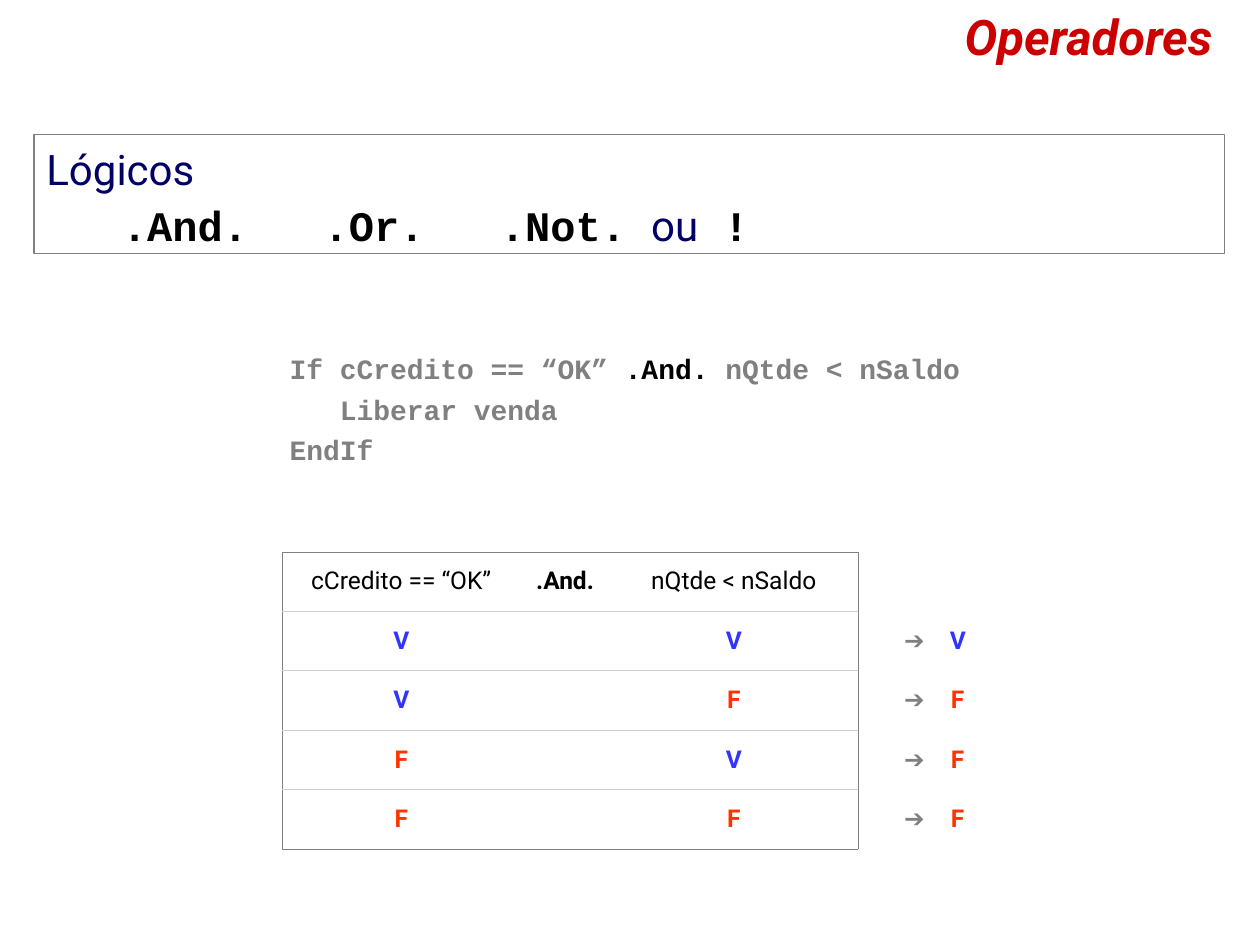
import pptx
import pptx.dml.color
import pptx.enum.shapes
import pptx.enum.text
import pptx.oxml
import pptx.oxml.ns
import pptx.util
from pptx.util import Inches

RGBColor = pptx.dml.color.RGBColor
Align = pptx.enum.text.PP_ALIGN
Anchor = pptx.enum.text.MSO_ANCHOR

WHITE = RGBColor(0xFF, 0xFF, 0xFF)
BLACK = RGBColor(0, 0, 0)
GRAY = RGBColor(0x80, 0x80, 0x80)
LIGHT_GRAY = RGBColor(0xD0, 0xCE, 0xCE)
NAVY = RGBColor(0, 0, 0x66)
RED = RGBColor(0xCC, 0, 0)
TRUTH_COLORS = {"V": RGBColor(0x33, 0x33, 0xFF), "F": RGBColor(0xFF, 0x33, 0)}

SANS = "Roboto"
MONO = "Courier New"
PLAIN_TABLE_STYLE = "{2D5ABB26-0587-4C30-8999-92F81FD0307C}"


def set_font(font, name, size, color, bold=False):
    font.name = name
    font.size = pptx.util.Pt(size)
    font.color.rgb = color
    font.bold = bold


def add_span(para, text):
    span = para.add_run()
    span.text = text
    return span


def add_tab_stops(para, positions):
    """Set left tab stops, in inches from the text edge."""
    properties = para._p.get_or_add_pPr()
    stops = pptx.oxml.ns.qn("a:tabLst")
    tab_list = properties.makeelement(stops, {})
    properties.append(tab_list)
    for position in positions:
        tab_list.append(tab_list.makeelement(
            pptx.oxml.ns.qn("a:tab"),
            {"pos": str(Inches(position)), "algn": "l"}))


def add_title(page, left, top, width, height):
    box = page.shapes.add_textbox(left, top, width, height)
    box.text_frame.word_wrap = True
    para = box.text_frame.paragraphs[0]
    para.text = "Operadores"
    para.alignment = Align.RIGHT
    set_font(para.font, SANS, 28, RED, bold=True)
    para.font.italic = True


def add_operator_panel(page, left, top, width, height):
    panel = page.shapes.add_shape(
        pptx.enum.shapes.MSO_SHAPE.RECTANGLE, left, top, width, height)
    panel.shadow.inherit = False
    panel.fill.solid()
    panel.fill.fore_color.rgb = WHITE
    panel.line.color.rgb = GRAY
    panel.line.width = pptx.util.Pt(0.75)
    panel.text_frame.word_wrap = True
    panel.text_frame.vertical_anchor = Anchor.MIDDLE

    para = panel.text_frame.paragraphs[0]
    para.alignment = Align.LEFT
    para.line_spacing = 1.1
    add_tab_stops(para, (0.6, 2.2, 3.6))
    set_font(add_span(para, "Lógicos").font, SANS, 24, NAVY)
    para.add_line_break()
    for text, is_code in (("\t.And.\t.Or.\t.Not. ", True), ("ou", False), (" !", True)):
        set_font(add_span(para, text).font, MONO if is_code else SANS, 24,
                 BLACK if is_code else NAVY, bold=is_code)


def add_code_sample(page, left, top, width, height):
    box = page.shapes.add_textbox(left, top, width, height)
    frame = box.text_frame
    frame.word_wrap = True
    lines = (
        ("If cCredito == “OK” ", ".And.", " nQtde < nSaldo"),
        ("   Liberar venda",),
        ("EndIf",),
    )
    for index, line in enumerate(lines):
        para = frame.add_paragraph() if index else frame.paragraphs[0]
        if index:
            para.space_before = pptx.util.Pt(4)
        set_font(para.font, MONO, 16, GRAY, bold=True)
        for text in line:
            span = add_span(para, text)
            if text == ".And.":
                span.font.color.rgb = BLACK


def set_borders(cell, **colors):
    """Draw the given sides (L, R, T, B) of a cell as thin lines."""
    properties = cell._tc.get_or_add_tcPr()
    sides = [side for side in "LRTB" if side in colors]
    for index, side in enumerate(sides):
        properties.insert(index, pptx.oxml.parse_xml(
            f'<a:ln{side} {pptx.oxml.ns.nsdecls("a")} w="{pptx.util.Pt(0.45)}">'
            f'<a:solidFill><a:srgbClr val="{colors[side]}"/></a:solidFill>'
            f'</a:ln{side}>'))


def fill_cell(cell, text, header):
    cell.fill.background()
    cell.vertical_anchor = Anchor.MIDDLE
    para = cell.text_frame.paragraphs[0]
    para.text = text
    para.alignment = Align.RIGHT if text == "➔" else Align.CENTER
    if text == "➔":
        set_font(para.font, "Arial", 14, GRAY)
    elif header:
        set_font(para.font, SANS, 14, BLACK, bold=text == ".And.")
    else:
        set_font(para.font, SANS, 14, TRUTH_COLORS.get(text, BLACK), bold=True)


def add_truth_table(page, left, top, width, height):
    """The first three columns are framed; the result columns are open."""
    rows = [("cCredito == “OK”", ".And.", "nQtde < nSaldo", "", "")]
    for first, second in ("VV", "VF", "FV", "FF"):
        result = "V" if first == second == "V" else "F"
        rows.append((first, "", second, "➔", result))
    column_widths = (1.89, 0.71, 1.97, 0.63, 0.32)
    framed_columns = 3

    holder = page.shapes.add_table(
        len(rows), len(column_widths), left, top, width, height)
    table = holder.table
    table.first_row = False
    table.horz_banding = False
    style = table._tbl.tblPr.find(pptx.oxml.ns.qn("a:tableStyleId"))
    style.text = PLAIN_TABLE_STYLE
    for column, column_width in zip(table.columns, column_widths):
        column.width = Inches(column_width)

    last_row = len(rows) - 1
    for row, texts in enumerate(rows):
        for column, text in enumerate(texts):
            cell = table.cell(row, column)
            fill_cell(cell, text, header=row == 0)
            if column >= framed_columns:
                continue
            borders = {"T": LIGHT_GRAY if row else GRAY,
                       "B": GRAY if row == last_row else LIGHT_GRAY}
            if column == 0:
                borders["L"] = GRAY
            if column == framed_columns - 1:
                borders["R"] = GRAY
            set_borders(cell, **borders)


def main():
    deck = pptx.Presentation()
    deck.slide_width = Inches(10)
    deck.slide_height = Inches(7.5)
    page = deck.slides.add_slide(deck.slide_layouts[6])
    add_operator_panel(page, Inches(0.27), Inches(1.07), Inches(9.45), Inches(0.94))
    add_code_sample(page, Inches(2.2), Inches(2.74), Inches(5.59), Inches(1.01))
    add_truth_table(page, Inches(2.24), Inches(4.38), Inches(5.52), Inches(2.36))
    add_title(page, Inches(0.27), Inches(0), Inches(9.45), Inches(0.57))
    deck.save("out.pptx")


if __name__ == "__main__":
    main()
